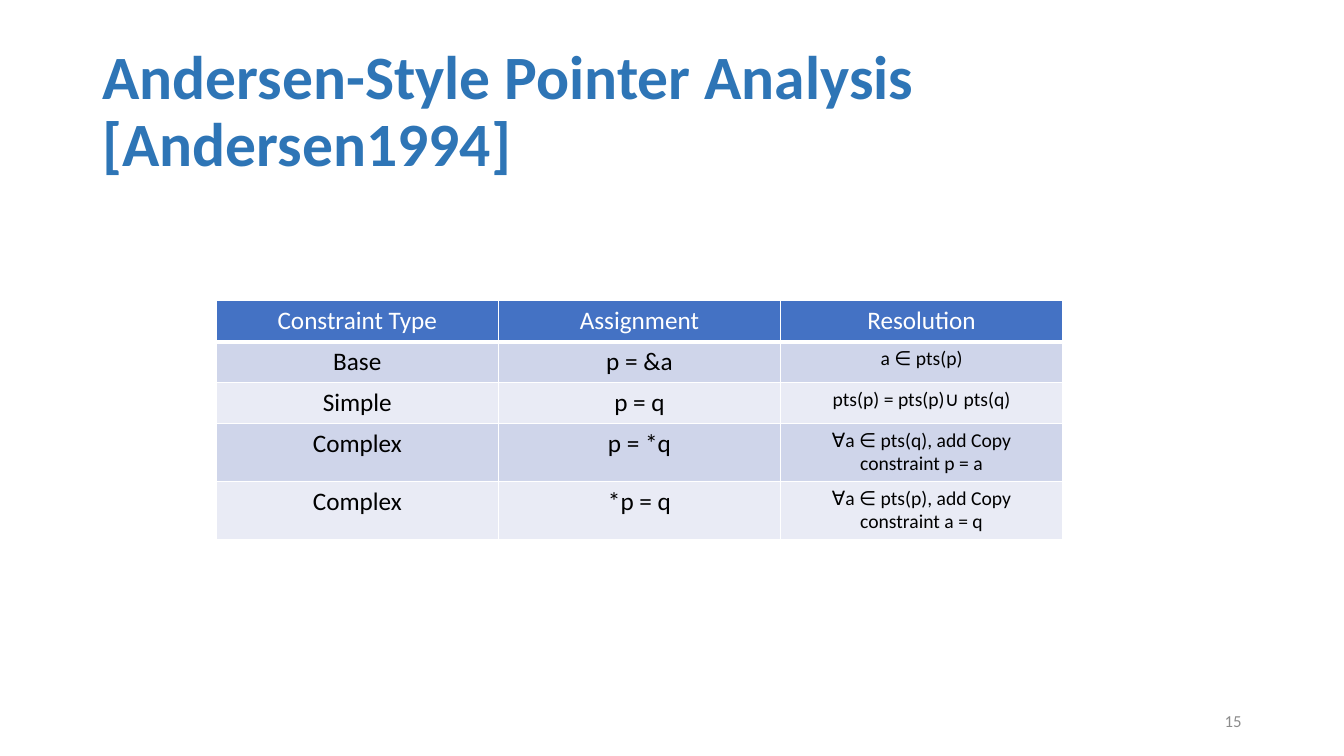
from lxml import etree
from pptx import Presentation
from pptx import util as u
from pptx.dml.color import RGBColor
from pptx.enum import text
from pptx.oxml import ns

COLORS = {
    "title": "2E75B6",
    "number": "8C8C8C",
    "header": "4472C4",
    "odd_row": "CFD5EA",
    "even_row": "E9EBF5",
    "white": "FFFFFF",
    "black": "000000",
}

CONSTRAINTS = [
    ("Constraint Type", "Assignment", "Resolution"),
    ("Base", "p = &a", "a ∈ pts(p)"),
    ("Simple", "p = q", "pts(p) = pts(p)∪ pts(q)"),
    ("Complex", "p = *q", "∀a ∈ pts(q), add Copy constraint p = a"),
    ("Complex", "*p = q", "∀a ∈ pts(p), add Copy constraint a = q"),
]
ROW_HEIGHTS = [1.03, 1.03, 1.03, 1.46, 1.46]


class SlideBuilder:
    """Holds the style and the current slide; lengths are in centimetres."""

    font_name = "Calibri"

    def __init__(self, deck):
        self.slide = deck.slides.add_slide(deck.slide_layouts[5])

    def set_words(self, frame, words, size, color, align, bold=False):
        frame.text = words
        paragraph = frame.paragraphs[0]
        paragraph.alignment = align
        font = paragraph.runs[0].font
        style = {"name": self.font_name, "size": u.Pt(size), "bold": bold}
        for key, value in style.items():
            setattr(font, key, value)
        font.color.rgb = RGBColor.from_string(COLORS[color])
        return paragraph

    def place_frame(self, shape, box):
        for key, value in zip(("left", "top", "width", "height"), box):
            setattr(shape, key, u.Cm(value))
        frame_format = {
            "word_wrap": True,
            "auto_size": text.MSO_AUTO_SIZE.NONE,
            "vertical_anchor": text.MSO_ANCHOR.MIDDLE,
        }
        for key, value in frame_format.items():
            setattr(shape.text_frame, key, value)
        return shape.text_frame

    def title(self, words, box):
        frame = self.place_frame(self.slide.shapes.title, box)
        heading = self.set_words(frame, words, 44, "title", text.PP_ALIGN.LEFT, bold=True)
        heading.line_spacing = 0.9

    def page_number(self, words, box):
        number_box = self.slide.shapes.add_textbox(*map(u.Cm, box))
        frame = self.place_frame(number_box, box)
        self.set_words(frame, words, 12, "number", text.PP_ALIGN.RIGHT)

    def borders(self, cell, bottom):
        properties = cell._tc.get_or_add_tcPr()
        widths = {"a:lnL": 1, "a:lnR": 1, "a:lnT": 1, "a:lnB": bottom}
        for position, (side, width) in enumerate(widths.items()):
            line = etree.Element(ns.qn(side), w=str(int(u.Pt(width))))
            fill = etree.SubElement(line, ns.qn("a:solidFill"))
            etree.SubElement(fill, ns.qn("a:srgbClr"), val=COLORS["white"])
            properties.insert(position, line)

    def table(self, rows, heights, left, top, column_width):
        columns = len(rows[0])
        size = (column_width * columns, sum(heights))
        table = self.slide.shapes.add_table(
            len(rows), columns, *map(u.Cm, (left, top, *size))
        ).table
        for column in table.columns:
            column.width = u.Cm(column_width)
        for r, (row, height) in enumerate(zip(rows, heights)):
            table.rows[r].height = u.Cm(height)
            is_header = r == 0
            fill = "header" if is_header else ("even_row", "odd_row")[r % 2]
            for c, words in enumerate(row):
                cell = table.cell(r, c)
                cell.fill.solid()
                cell.fill.fore_color.rgb = RGBColor.from_string(COLORS[fill])
                is_resolution = c == columns - 1 and not is_header
                self.set_words(
                    cell.text_frame,
                    words,
                    14 if is_resolution else 18,
                    "white" if is_header else "black",
                    text.PP_ALIGN.CENTER,
                )
                self.borders(cell, bottom=3 if is_header else 1)


def main():
    deck = Presentation()
    deck.slide_width, deck.slide_height = u.Cm(33.87), u.Cm(19.05)
    builder = SlideBuilder(deck)

    # Heading
    builder.title("Andersen-Style Pointer Analysis [Andersen1994]", (2.33, 1.01, 29.21, 3.68))

    # Constraint table
    builder.table(CONSTRAINTS, ROW_HEIGHTS, left=5.45, top=7.58, column_width=7.11)

    # Page number
    builder.page_number("15", (23.92, 17.66, 7.62, 1.01))

    deck.save("out.pptx")


if __name__ == "__main__":
    main()
